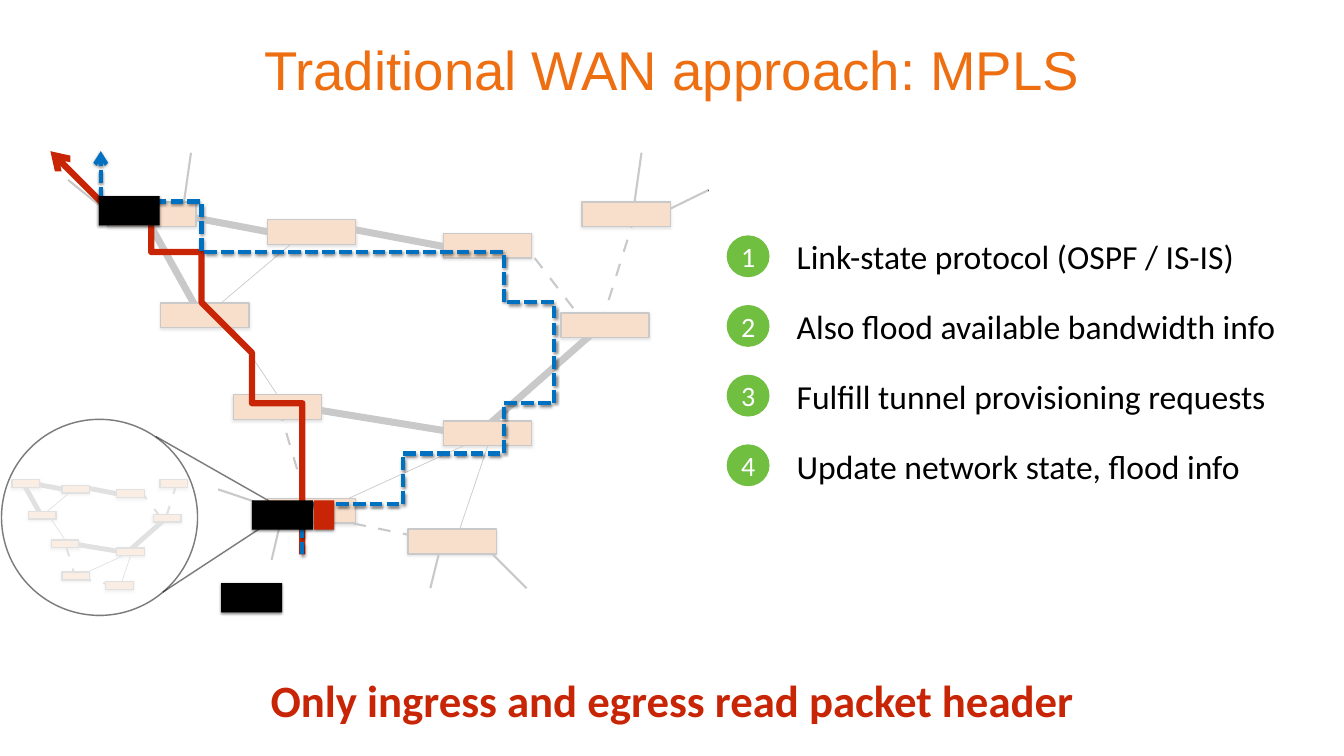
from collections import namedtuple
from dataclasses import dataclass

from lxml import etree
from pptx import Presentation
from pptx import util as u
from pptx.dml.color import RGBColor
from pptx.enum import dml, shapes, text
from pptx.oxml import ns

Box = namedtuple("Box", "left top width height")


@dataclass(frozen=True)
class Theme:
    """Colours, fonts and type sizes of the slide."""
    ink: str = "000000"
    paper: str = "FFFFFF"
    orange: str = "EE6E12"
    router: str = "DE6A10"
    green: str = "70BF41"
    red: str = "C82506"
    blue: str = "0070C0"
    title_font: str = "Arial"
    body_font: str = "Calibri"
    title_size: int = 78
    takeaway_size: int = 64
    step_size: int = 48
    badge_size: int = 40


THEME = Theme()
THIN, LINK, TRUNK = 1, 3, 10

NETWORK_WIDTH, ROUTER_WIDTH, ROUTER_HEIGHT = 11.16, 1.75, 0.49
ROUTERS = [(0, 0), (3.17, 0.35), (1.05, 2), (6.66, 0.62), (8.99, 2.2),
           (9.41, 0), (2.49, 3.82), (6.66, 4.34), (3.17, 5.88), (5.96, 6.49)]
LINKS = [
    (9.54, 2.5, 8.17, 0.72, LINK), (9.79, 2.42, 10.46, 0.27, LINK),
    (3.61, 0.67, 1.18, 0.21, TRUNK), (1.74, 2.07, 0.81, 0.4, TRUNK),
    (1.93, 2.27, 3.78, 0.71, THIN), (3.4, 4.1, 3.99, 6.09, LINK),
    (7.65, 4.51, 6.87, 6.82, THIN), (6.59, 6.73, 4.21, 6.24, LINK),
    (7.14, 4.61, 4.14, 4.12, TRUNK), (7.25, 4.75, 4.47, 6.02, THIN),
    (3.58, 4.15, 2.23, 2.12, THIN), (7.08, 0.96, 4.65, 0.5, TRUNK),
    (9.77, 2.47, 7.28, 4.66, TRUNK)]
EDGE_LINKS = [
    (2.4, 4.42, 1.35, 3.57), (3.62, 4.23, 3.79, 3.03),
    (12.56, 4.23, 12.73, 3.03), (13.12, 4.23, 14.06, 3.77),
    (9.6, 10.82, 10.45, 11.67), (8.75, 10.82, 8.54, 11.67),
    (5.59, 10.26, 5.39, 11.11), (5.34, 10.05, 4.33, 9.71)]
RED_TUNNEL = [
    (5.5, 11.25), (5.58, 10.74), (5.96, 9.86), (6.05, 9.11), (5.72, 8.4),
    (4.91, 7.11), (4.37, 6.33), (3.64, 5.35), (3.1, 4.44), (2.1, 3.82),
    (1.43, 3.46)]
BLUE_TUNNEL = [
    (5.94, 11.2), (6.02, 10.65), (6.2, 10.27), (6.51, 9.9), (7.02, 9.67),
    (7.67, 9.47), (8.24, 9.27), (8.8, 9), (9.29, 8.76), (9.82, 8.45),
    (10.24, 8.06), (10.59, 7.69), (10.86, 7.22), (11.02, 6.76), (11.1, 6.57),
    (11.08, 6.06), (10.86, 5.75), (10.37, 5.51), (9.73, 5.33), (9.25, 5.24),
    (8.59, 5.22), (8.1, 5.16), (7.29, 5.08), (6.59, 5.02), (5.88, 4.9),
    (5.22, 4.82), (4.43, 4.71), (4, 4.59), (3.59, 4.37), (3.31, 4.04),
    (3.12, 3.8), (2.78, 3.67), (2.33, 3.57), (2.02, 3.47)]
STEPS = ["Link-state protocol (OSPF / IS-IS)",
         "Also flood available bandwidth info",
         "Fulfill tunnel provisioning requests",
         "Update network state, flood info"]


def inches(*lengths):
    """Convert lengths in inches to slide units."""
    return [u.Inches(length) for length in lengths]


def add_xml(parent, tag, **attributes):
    """Append a DrawingML element and return it."""
    return etree.SubElement(parent, ns.qn(tag), attributes)


def set_alpha(properties, percent):
    """Set the opacity of the first colour below an element."""
    color = next(properties.iter(ns.qn("a:srgbClr")))
    add_xml(color, "a:alpha", val=str(percent * 1000))


def add_shadow(shape):
    """Give a shape a soft shadow straight below it."""
    shape.shadow.inherit = False
    effects = shape._element.spPr.find(ns.qn("a:effectLst"))
    shadow = add_xml(effects, "a:outerShdw", blurRad=str(u.Pt(4)),
                     dist=str(u.Pt(2)), dir="5400000", rotWithShape="0")
    add_xml(add_xml(shadow, "a:srgbClr", val=THEME.ink), "a:alpha", val="50000")


def set_line(line, color, width, alpha=100):
    """Set colour, width in points and opacity of a line."""
    line.color.rgb = RGBColor.from_string(color)
    line.width = u.Pt(width)
    if alpha < 100:
        set_alpha(line._get_or_add_ln(), alpha)


def add_area(slide, preset, box, fill=None, alpha=100, outline=0,
             line_alpha=100, shadow=False):
    """Draw a preset shape with optional fill, outline and shadow."""
    area = slide.shapes.add_shape(preset, *inches(*box))
    area.shadow.inherit = False
    if shadow:
        add_shadow(area)
    if fill:
        area.fill.solid()
        area.fill.fore_color.rgb = RGBColor.from_string(fill)
        if alpha < 100:
            set_alpha(area._element.spPr, alpha)
    else:
        area.fill.background()
    if outline:
        set_line(area.line, THEME.ink, outline, line_alpha)
    else:
        area.line.fill.background()
    return area


def add_line(slide, ends, width, alpha=100, dashed=False):
    """Draw a straight line between two points."""
    line = slide.shapes.add_connector(shapes.MSO_CONNECTOR.STRAIGHT, *inches(*ends))
    set_line(line.line, THEME.ink, width, alpha)
    if dashed:
        pattern = add_xml(line.line._get_or_add_ln(), "a:custDash")
        add_xml(pattern, "a:ds", d="600000", sp="600000")
    add_xml(line._element.spPr, "a:effectLst")


def write(frame, words, size, color, font=THEME.body_font, bold=False,
          align=text.PP_ALIGN.CENTER, inset=0.06):
    """Write one formatted paragraph into a text frame."""
    frame.word_wrap = True
    frame.vertical_anchor = text.MSO_ANCHOR.MIDDLE
    frame.margin_left = frame.margin_right = u.Inches(inset)
    frame.margin_top = frame.margin_bottom = u.Inches(inset)
    paragraph = frame.paragraphs[0]
    paragraph.alignment = align
    run = paragraph.add_run()
    run.text = words
    run.font.name, run.font.size, run.font.bold = font, u.Pt(size), bold
    run.font.color.rgb = RGBColor.from_string(color)


def add_label(slide, box, words, size, color, **style):
    """Place a text box."""
    write(slide.shapes.add_textbox(*inches(*box)).text_frame, words, size, color, **style)


def draw_network(slide, box, trunk):
    """Draw links and routers scaled to the width of a box."""
    scale = box.width / NETWORK_WIDTH
    for x1, y1, x2, y2, width in LINKS:
        ends = (box.left + x1 * scale, box.top + y1 * scale,
                box.left + x2 * scale, box.top + y2 * scale)
        add_line(slide, ends, trunk if width == TRUNK else width, dashed=width == LINK)
    for x, y in ROUTERS:
        router = Box(box.left + x * scale, box.top + y * scale,
                     ROUTER_WIDTH * scale, ROUTER_HEIGHT * scale)
        add_area(slide, shapes.MSO_SHAPE.RECTANGLE, router, THEME.router,
                 outline=2, shadow=True)


def draw_magnifier(slide, box, fill=None):
    """Draw the zoom circle and its two rays to the ingress router."""
    add_area(slide, shapes.MSO_SHAPE.OVAL, box, fill, alpha=45, outline=2, line_alpha=45)
    for x1, y1, x2, y2 in [(3.06, 0.34, 5.31, 1.62), (3.2, 3.43, 5.32, 2.04)]:
        add_line(slide, (box.left + x1, box.top + y1, box.left + x2, box.top + y2), 2, 45)


def smooth(points, steps=6):
    """Return points on a Catmull-Rom curve through the given points."""
    padded = [points[0], *points, points[-1]]
    curve = [points[0]]
    for a, b, c, d in zip(padded, padded[1:], padded[2:], padded[3:]):
        for t in (step / steps for step in range(1, steps + 1)):
            curve.append(tuple(
                q + ((r - p) * t + (2 * p - 5 * q + 4 * r - s) * t ** 2
                     + (3 * q - p - 3 * r + s) * t ** 3) / 2
                for p, q, r, s in zip(a, b, c, d)))
    return curve


def draw_tunnel(slide, waypoints, color, width, dash=None):
    """Draw a curved path that ends in an arrowhead."""
    start, *rest = smooth(waypoints)
    builder = slide.shapes.build_freeform(*start, scale=u.Inches(1))
    builder.add_line_segments(rest, close=False)
    tunnel = builder.convert_to_shape()
    tunnel.fill.background()
    tunnel.shadow.inherit = False
    set_line(tunnel.line, color, width)
    if dash:
        tunnel.line.dash_style = dash
        add_shadow(tunnel)
    ln = tunnel.line._get_or_add_ln()
    add_xml(ln, "a:round")
    add_xml(ln, "a:tailEnd", type="arrow")


def draw_packets(slide):
    """Draw the packets and the red label pushed at the ingress."""
    for left, top, width, color in [
            (5, 9.93, 1.21, THEME.ink), (6.23, 9.93, 0.4, THEME.red),
            (4.39, 11.57, 1.21, THEME.ink), (1.96, 3.89, 1.21, THEME.ink)]:
        add_area(slide, shapes.MSO_SHAPE.RECTANGLE, Box(left, top, width, 0.58),
                 color, shadow=True)


def draw_steps(slide, box):
    """List the numbered steps at an equal pitch."""
    pitch, size = box.height / len(STEPS), 0.85
    for number, step in enumerate(STEPS, 1):
        top = box.top + (number - 1) * pitch
        badge = add_area(slide, shapes.MSO_SHAPE.OVAL,
                         Box(box.left, top, size, 0.83), THEME.green)
        write(badge.text_frame, str(number), THEME.badge_size, THEME.paper)
        add_label(slide, Box(box.left + 1.33, top - 0.02, box.width - 1.33, 0.88), step,
                  THEME.step_size, THEME.ink, align=text.PP_ALIGN.LEFT)


def build():
    """Build and save the slide."""
    deck = Presentation()
    deck.slide_width, deck.slide_height = inches(26.67, 15)
    slide = deck.slides.add_slide(deck.slide_layouts[6])
    lens = Box(0.03, 8.32, 3.89, 3.89)
    for ends in EDGE_LINKS:
        add_line(slide, ends, LINK)
    draw_network(slide, Box(0.24, 9.52, 3.48, 2.17), trunk=7)
    draw_magnifier(slide, lens, THEME.paper)
    add_label(slide, Box(3.33, 0, 20, 2.73), "Traditional WAN approach: MPLS",
              THEME.title_size, THEME.orange, font=THEME.title_font, inset=0.08)
    draw_network(slide, Box(2.14, 4.01, NETWORK_WIDTH, 6.98), TRUNK)
    add_area(slide, shapes.MSO_SHAPE.RECTANGLE, Box(0, 2.97, 14.06, 9.26),
             THEME.paper, alpha=79)
    draw_tunnel(slide, RED_TUNNEL, THEME.red, 9)
    draw_magnifier(slide, lens)
    draw_steps(slide, Box(14.42, 4.67, 11.8, 5.53))
    add_label(slide, Box(4.79, 13.2, 17.09, 1.37),
              "Only ingress and egress read packet header",
              THEME.takeaway_size, THEME.red, bold=True)
    draw_tunnel(slide, BLUE_TUNNEL, THEME.blue, 6, dml.MSO_LINE.SQUARE_DOT)
    draw_packets(slide)
    deck.save("out.pptx")


if __name__ == "__main__":
    build()
